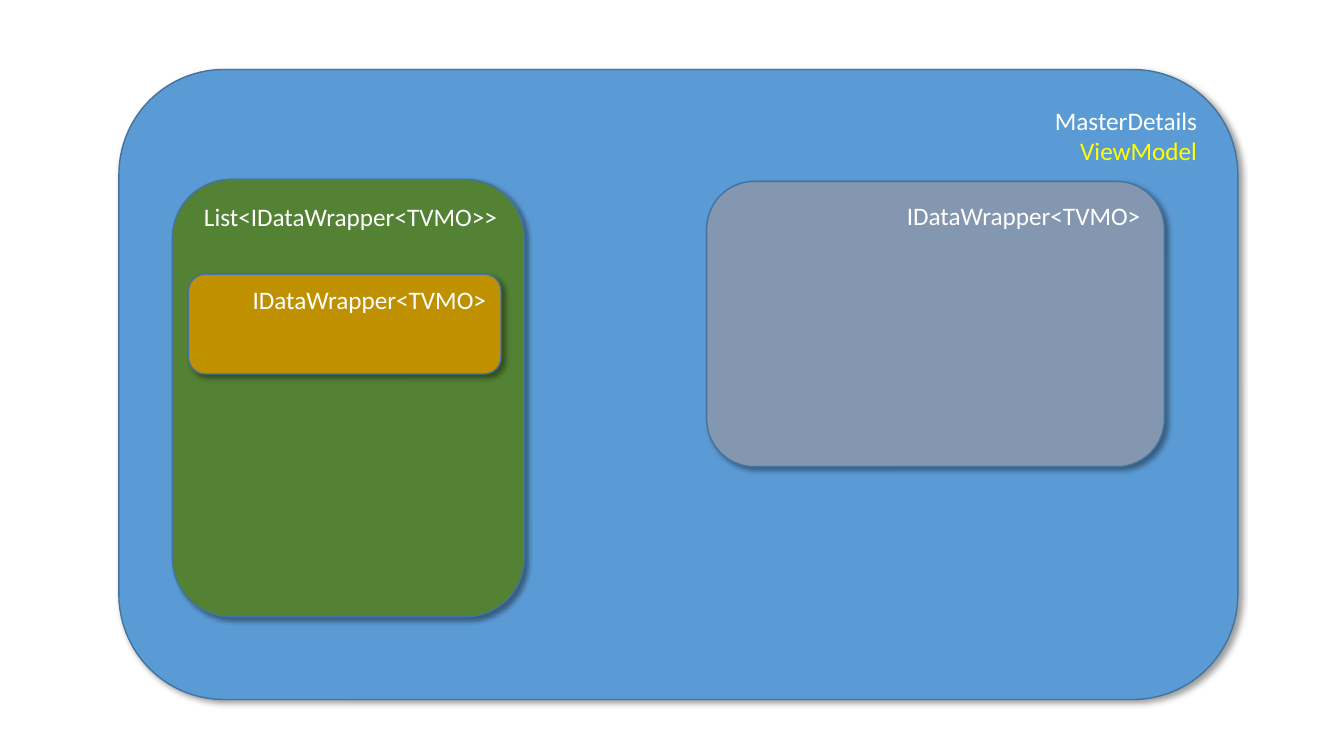
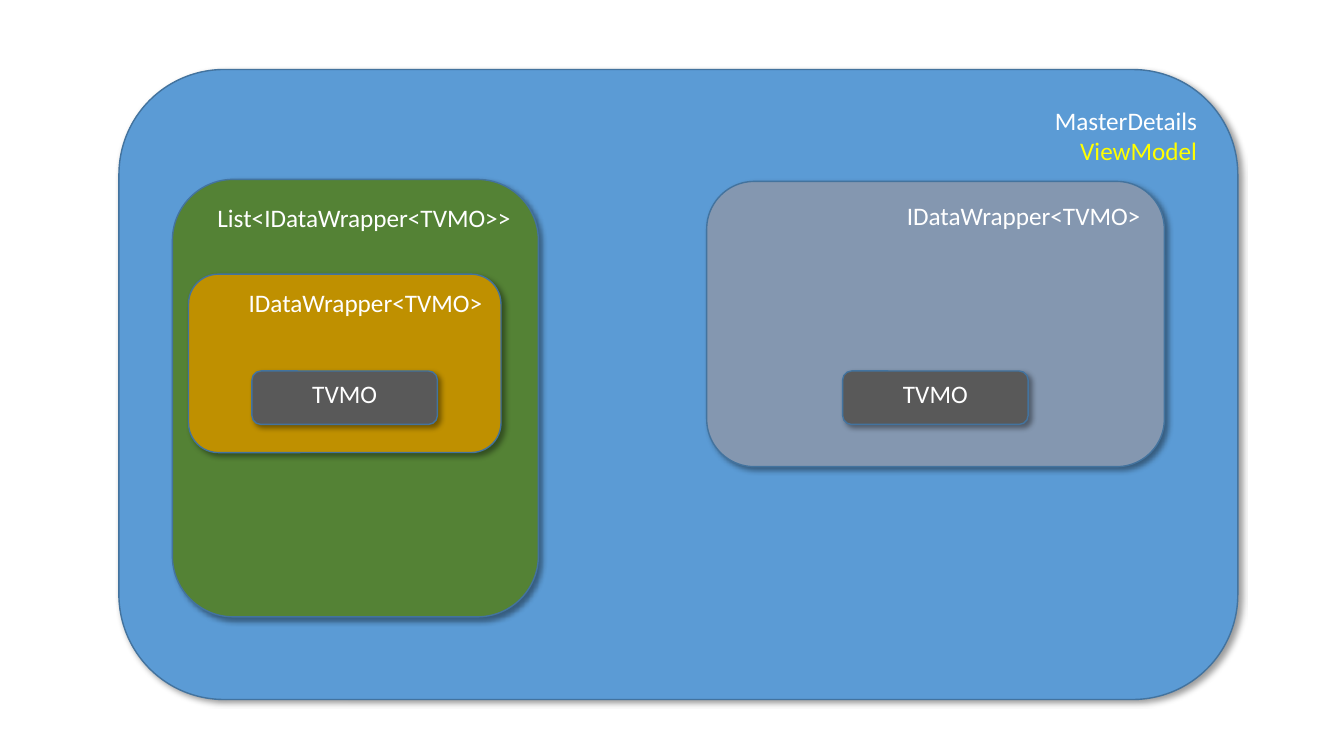
from lxml.etree import SubElement
from pptx import Presentation
from pptx.dml.color import RGBColor
from pptx.enum.shapes import MSO_SHAPE
from pptx.enum.text import MSO_ANCHOR, PP_ALIGN
from pptx.oxml.ns import qn
from pptx.util import Inches, Pt

WIDE, HIGH = 13.33, 7.5
FONT, SIZE = "Calibri", 18
WHITE, YELLOW, EDGE = "FFFFFF", "FFFF00", "43739E"
BLUE, GREEN, GOLD, SLATE, GRAY = "5B9BD5", "548235", "BF9000", "8497B0", "595959"
RIGHT, MID = PP_ALIGN.RIGHT, PP_ALIGN.CENTER

FRAME = ((8.85, 9.2, 83.25, 83.33), BLUE, RIGHT,
         [("MasterDetails", WHITE), ("ViewModel", YELLOW)])
WRAP = [("IDataWrapper<TVMO>", WHITE)]
DETAIL = ((52.58, 24, 34.05, 37.73), SLATE, RIGHT, WRAP)


def master(wide):
    return ((12.83, 23.73, wide, 57.87), GREEN, RIGHT,
            [("List<IDataWrapper<TVMO>>", WHITE)])


def item(high):
    return (14.03, 36.27, 23.25, high), GOLD, RIGHT, WRAP


def model(left):
    return (left, 49.07, 13.8, 7.07), GRAY, MID, [("TVMO", WHITE)]


SLIDES = [
    [FRAME, master(26.18), item(13.2), DETAIL],
    [FRAME, master(27.23), item(23.6), DETAIL, model(18.75), model(62.7)],
]


def color(code):
    return RGBColor.from_string(code)


def shade(box):
    box.shadow.inherit = False
    effects = box._element.spPr.find(qn("a:effectLst"))
    outer = SubElement(effects, qn("a:outerShdw"), blurRad=str(Pt(4)),
                       dist=str(Pt(3)), dir=str(45 * 60000),
                       algn="tl", rotWithShape="0")
    black = SubElement(outer, qn("a:srgbClr"), val="000000")
    SubElement(black, qn("a:alpha"), val="40000")


def draw(slide, place, fill, align, lines):
    spans = (WIDE, HIGH, WIDE, HIGH)
    at = [Inches(span * part / 100) for span, part in zip(spans, place)]
    box = slide.shapes.add_shape(MSO_SHAPE.ROUNDED_RECTANGLE, *at)
    box.fill.solid()
    box.fill.fore_color.rgb = color(fill)
    box.line.color.rgb = color(EDGE)
    box.line.width = Pt(1)
    shade(box)
    frame = box.text_frame
    frame.word_wrap = True
    frame.vertical_anchor = MSO_ANCHOR.TOP
    frame.text = "\n".join(text for text, _ in lines)
    for para, (_, ink) in zip(frame.paragraphs, lines):
        para.alignment = align
        font = para.runs[0].font
        font.name, font.size = FONT, Pt(SIZE)
        font.color.rgb = color(ink)


def main():
    deck = Presentation()
    deck.slide_width, deck.slide_height = Inches(WIDE), Inches(HIGH)
    for boxes in SLIDES:
        slide = deck.slides.add_slide(deck.slide_layouts[6])
        for box in boxes:
            draw(slide, *box)
    deck.save("out.pptx")


if __name__ == "__main__":
    main()
